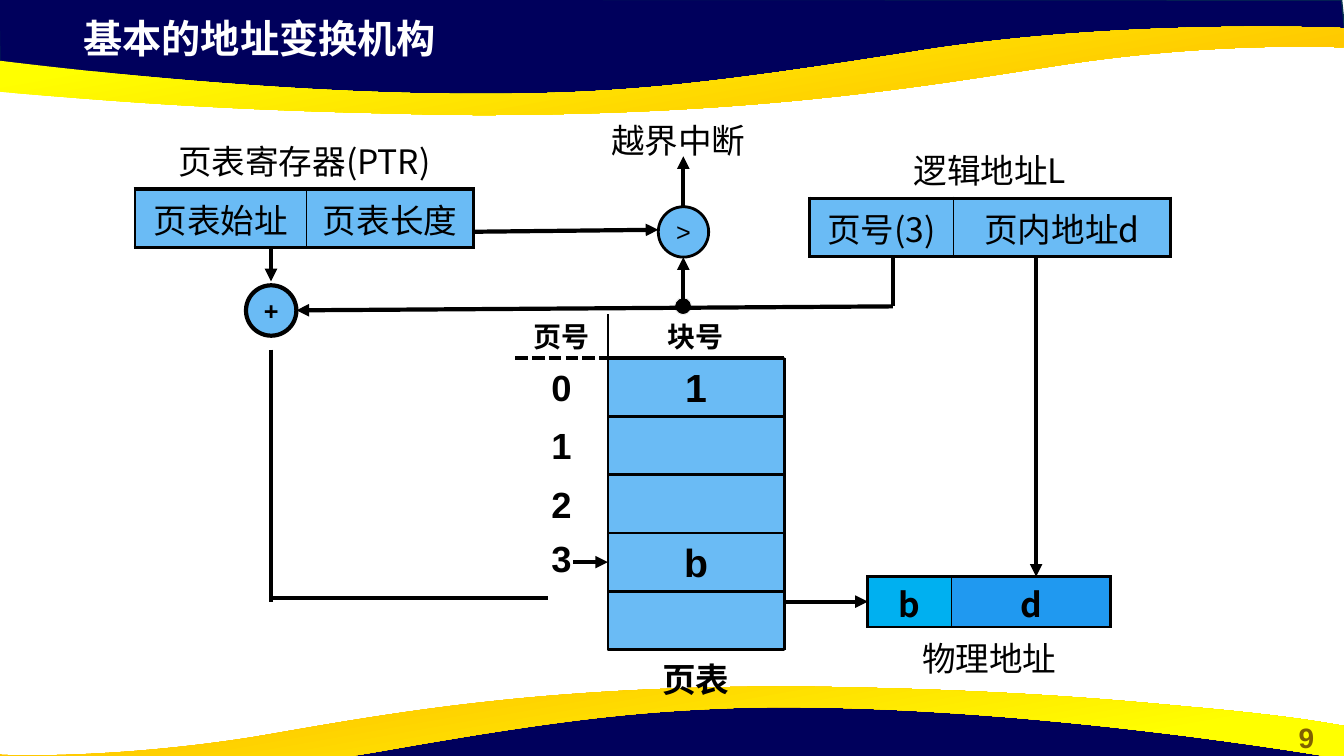
import pptx
import pptx.util
import pptx.dml.color
import pptx.enum.dml
import pptx.enum.shapes
import pptx.enum.text
import pptx.oxml
import pptx.oxml.ns
import lxml.etree

Cm = pptx.util.Cm
Pt = pptx.util.Pt
qn = pptx.oxml.ns.qn
SHAPE = pptx.enum.shapes.MSO_SHAPE
ALIGN = pptx.enum.text.PP_ALIGN
MID = pptx.enum.text.MSO_ANCHOR.MIDDLE

HEX = {"navy": "00005C", "edge": "05304F", "gold": "FFC000", "lemon": "FFFF00",
       "brown": "806000", "white": "FFFFFF", "black": "000000", "pale": "F0F0F0",
       "sky": "6ABBF5", "cyan": "00B0F0", "blue": "2099F0"}
NOTO = "Noto Sans CJK SC"
LABEL = {"name": NOTO, "size": Pt(24), "bold": False}
HEAD = {"name": NOTO, "size": Pt(20), "bold": True}
NAME = {"name": NOTO, "size": Pt(24), "bold": True}
DIGIT = {"name": "Arial", "size": Pt(26), "bold": True}
BLOCK = {"name": "Arial", "size": Pt(28), "bold": True}
TITLE = {"name": "Arial", "size": Pt(28), "bold": True}
PAGE = {"name": "Arial", "size": Pt(20), "bold": True}
SIGN = {"name": "Arial", "size": Pt(18), "bold": False}

CAPS = [
    [(-0.03, -0.03), (0, 1.78), (7.44, 2.59), (14.2, 2.54), (20.19, 2.24),
     (25.81, 1.27), (31.45, 0.84), (33.91, 0.97), (33.81, 0)],
    [(33.86, 20.17), (33.83, 18.39), (26.42, 17.55), (19.63, 17.6), (13.67, 17.93),
     (8.05, 18.87), (2.41, 19.3), (-0.08, 19.2), (0.03, 20.14)],
]
BANDS = [
    [(12.27, 2.9), (11.25, 2.9, 10.19, 2.87, 9.04, 2.84),
     (5.23, 2.74, 2.79, 2.54, 0.91, 2.39), (-2.24, 2.13, -3.3, 1.91, -3.38, 1.91),
     (-3.38, 1.07), (-3.38, 1.07, 5.54, 2.49, 13.13, 2.36),
     (15.9, 2.31, 17.98, 2.11, 23.24, 1.27), (28.42, 0.46, 33.86, 0.71, 33.86, 0.71),
     (33.86, 1.19), (33.78, 1.19), (33.15, 1.17, 30.35, 1.09, 26.8, 1.63),
     (23.32, 2.16, 19.35, 2.87, 12.27, 2.9)],
    [(19.61, 17.3), (20.55, 17.3, 21.51, 17.32, 22.56, 17.35),
     (26.04, 17.45, 28.24, 17.65, 29.95, 17.81), (32.82, 18.06, 33.78, 18.29, 33.86, 18.29),
     (33.86, 19.13), (33.86, 19.13, 25.76, 17.7, 18.85, 17.83),
     (16.31, 17.91, 14.4, 18.08, 9.65, 18.92), (4.88, 19.76, -0.03, 19.51, -0.03, 19.51),
     (-0.03, 19), (0.05, 19.02), (0.64, 19.05, 3.18, 19.08, 6.4, 18.57),
     (9.55, 18.03, 13.18, 17.32, 19.61, 17.3)],
]
STOPS = [[(0.22, "lemon"), (0.89, "gold")], [(0.11, "gold"), (0.78, "lemon")]]


def rgb(name):
    return pptx.dml.color.RGBColor.from_string(HEX[name])


def style(item, form):
    for key, value in form.items():
        setattr(item, key, value)


def paint(shape, fill, line=None, width=1):
    shape.shadow.inherit = False
    shape.fill.solid()
    shape.fill.fore_color.rgb = rgb(fill)
    if line:
        shape.line.color.rgb = rgb(line)
        shape.line.width = Pt(width)
    else:
        shape.line.fill.background()


def write(frame, words, form, color="black", align=ALIGN.CENTER):
    para = frame.paragraphs[0]
    para.alignment = align
    run = para.add_run()
    run.text = words
    style(run.font, form)
    run.font.color.rgb = rgb(color)
    east = lxml.etree.SubElement(run.font._element, qn("a:ea"))
    east.set("typeface", NOTO)


def label(slide, at, words, form, color="black"):
    frame = slide.shapes.add_textbox(*map(Cm, at)).text_frame
    style(frame, {"word_wrap": True, "vertical_anchor": MID})
    write(frame, words, form, color)


def box(slide, kind, at, fill, line, width, words="", form=SIGN):
    shape = slide.shapes.add_shape(kind, *map(Cm, at))
    paint(shape, fill, line, width)
    if words:
        style(shape.text_frame, {"word_wrap": kind == SHAPE.RECTANGLE, "vertical_anchor": MID})
        write(shape.text_frame, words, form)
    return shape


def wire(slide, ends, width=3, arrow=False, dash=None):
    line = slide.shapes.add_connector(pptx.enum.shapes.MSO_CONNECTOR.STRAIGHT, *map(Cm, ends))
    line.line.color.rgb = rgb("black")
    style(line.line, {"width": Pt(width), "dash_style": dash})
    if arrow:
        tail = lxml.etree.SubElement(line.line._get_or_add_ln(), qn("a:tailEnd"))
        tail.set("type", "triangle")
    lxml.etree.SubElement(line._element.spPr, qn("a:effectLst"))
    return line


def wave(slide, parts):
    spots = [(Cm(part[-2]), Cm(part[-1])) for part in parts]
    pen = slide.shapes.build_freeform(*spots[0])
    pen.add_line_segments(spots[1:], close=True)
    shape = pen.convert_to_shape()
    track = next(shape._element.iter(qn("a:path")))
    for part, node in zip(parts, list(track)):
        if len(part) == 6:
            node.tag = qn("a:cubicBezTo")
            for i in (0, 2):
                spot = lxml.etree.Element(qn("a:pt"))
                spot.set("x", str(Cm(part[i]) - shape.left))
                spot.set("y", str(Cm(part[i + 1]) - shape.top))
                node.insert(i // 2, spot)
    return shape


def decor(slide):
    for cap, band, stops in zip(CAPS, BANDS, STOPS):
        paint(wave(slide, cap), "navy", "edge")
        strip = wave(slide, band)
        paint(strip, "gold")
        strip.fill.gradient()
        strip.fill.gradient_angle = 280
        for stop, (place, name) in zip(strip.fill.gradient_stops, stops):
            stop.position = place
            stop.color.rgb = rgb(name)


def rim(cell, widths):
    props = cell._tc.get_or_add_tcPr()
    for side, width in zip("LRTB", widths):
        line = lxml.etree.SubElement(props, qn("a:ln" + side))
        line.set("w", str(Pt(width)))
        if width:
            fill = lxml.etree.SubElement(line, qn("a:solidFill"))
            lxml.etree.SubElement(fill, qn("a:srgbClr")).set("val", HEX["black"])
        else:
            lxml.etree.SubElement(line, qn("a:noFill"))


def grid(slide, at, cols, high, title, parts, fills, form, top, under=False):
    table = slide.shapes.add_table(2, 2, *map(Cm, at), Cm(sum(cols)), Cm(2 * high)).table
    style(table, {"first_row": False, "horz_banding": False})
    for row in table.rows:
        row.height = Cm(high)
    body, side = (0, 1) if under else (1, 0)
    pads = {body: (0.04, 0), side: (0.14, 0)} if under else {0: (0.12, 0.12), 1: (0.12, 0.12)}
    for i, wide in enumerate(cols):
        table.columns[i].width = Cm(wide)
        cell, cap = table.cell(body, i), table.cell(side, i)
        rim(cell, (1, 2.25, top, 2.25) if i else (2.25, 1, top, 2.25))
        rim(cap, (0, 0, 2.25, 0) if under else (0, 0, 0, top))
        cap.fill.background()
        cell.fill.solid()
        cell.fill.fore_color.rgb = rgb(fills[i])
        for each, row in ((cell, body), (cap, side)):
            high_pad, low_pad = map(Cm, pads[row])
            style(each, {"vertical_anchor": MID, "margin_top": high_pad,
                         "margin_bottom": low_pad})
        write(cell.text_frame, parts[i], form)
    table.cell(side, 0).merge(table.cell(side, 1))
    write(table.cell(side, 0).text_frame, title, LABEL)


def pages(slide):
    left, mid, right, top, step = 12.98, 15.32, 19.76, 9.02, 1.47
    wide = right - mid
    rows = [box(slide, SHAPE.RECTANGLE, (mid, top + i * step, wide, step), "sky", "black", 1.5,
                words, BLOCK) for i, words in enumerate(["1", "", "", "b", ""])]
    for i in range(4):
        high = 1.27 if i == 3 else step
        label(slide, (left, top + i * step, mid - left, high), str(i), DIGIT)
    label(slide, (left, 7.92, mid - left, 1.1), "页号", HEAD)
    label(slide, (mid, 7.92, wide, 1.1), "块号", HEAD)
    label(slide, (mid, 16.36, wide, 1.5), "页表", NAME)
    wire(slide, (left, top, mid, top), dash=pptx.enum.dml.MSO_LINE.SQUARE_DOT)
    wire(slide, (mid, 7.92, mid, top), 1)
    for i, width in enumerate([2.5, 2.5, 2.5, 2, 2, 2]):
        wire(slide, (mid, top + i * step, right, top + i * step), width)
    for x in (mid, right):
        wire(slide, (x, top, x, top + 5 * step), 2)
    y = top + 3.5 * step
    wire(slide, (14.45, y, mid, y), arrow=True).end_connect(rows[3], 1)


def main():
    deck = pptx.Presentation()
    style(deck, {"slide_width": Cm(33.87), "slide_height": Cm(19.05)})
    slide = deck.slides.add_slide(deck.slide_layouts[5])
    decor(slide)
    label(slide, (32, 18.01, 1.85, 1.12), "9", PAGE, "brown")
    title = slide.shapes.title
    slide.shapes._spTree.append(title._element)
    style(title, {"left": Cm(1.85), "top": Cm(0.23), "width": Cm(19.51), "height": Cm(1.45)})
    title.text_frame.vertical_anchor = MID
    write(title.text_frame, "基本的地址变换机构", TITLE, "white", ALIGN.LEFT)

    grid(slide, (3.4, 3.3), (4.32, 4.22), 1.47, "页表寄存器(PTR)",
         ("页表始址", "页表长度"), ("sky", "sky"), LABEL, 3)
    grid(slide, (20.4, 3.53), (3.63, 5.46), 1.47, "逻辑地址L",
         ("页号(3)", "页内地址d"), ("sky", "sky"), LABEL, 3)
    grid(slide, (21.87, 14.53), (2.11, 4.01), 1.27, "物理地址",
         ("b", "d"), ("cyan", "blue"), NAME, 2.25, True)
    pages(slide)

    box(slide, SHAPE.OVAL, (6.2, 7.19, 1.27, 1.27), "sky", "black", 3, "+", {**SIGN, "bold": True})
    box(slide, SHAPE.OVAL, (16.59, 5.21, 1.27, 1.27), "sky", "black", 2, ">")
    box(slide, SHAPE.OVAL, (17, 7.5, 0.43, 0.43), "black", "pale", 0.75)
    label(slide, (15.09, 2.88, 4.01, 1.3), "越界中断", LABEL)

    for ends in [(17.22, 5.21, 17.22, 3.94), (17.22, 7.72, 17.22, 6.48),
                 (26.11, 6.48, 26.11, 14.53), (19.76, 15.16, 21.87, 15.16),
                 (22.5, 7.72, 7.47, 7.82), (6.83, 6.27, 6.83, 7.09),
                 (11.91, 5.84, 16.59, 5.79)]:
        wire(slide, ends, arrow=True)
    for ends in [(22.5, 6.48, 22.5, 7.72), (6.83, 8.81, 6.83, 15.16),
                 (6.83, 15.06, 13.82, 15.06)]:
        wire(slide, ends)
    deck.save("out.pptx")


if __name__ == "__main__":
    main()
